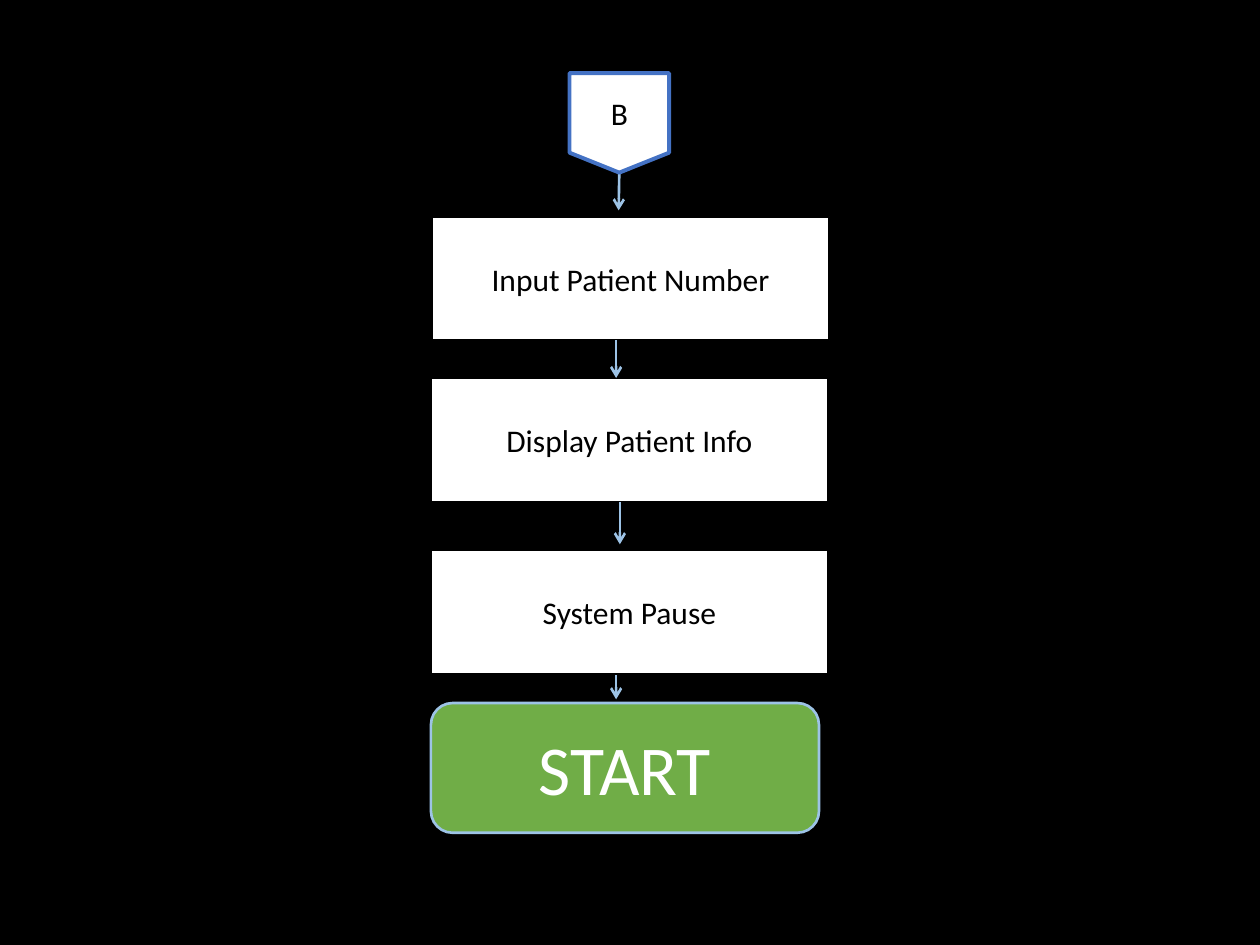
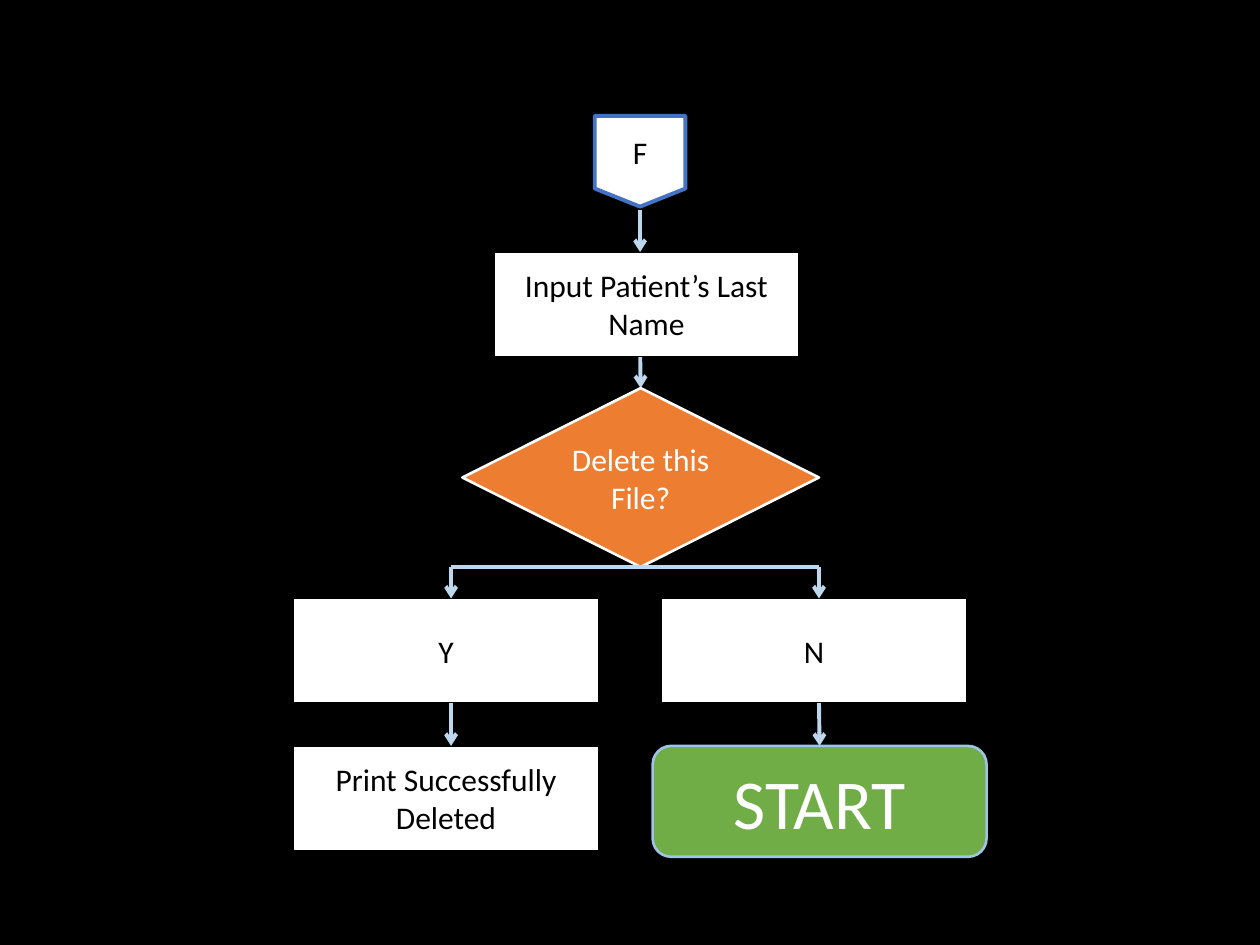
"""Build two flowchart pages for a patient record program."""
from lxml import etree
from pptx import Presentation
from pptx.dml.color import RGBColor
from pptx.enum.shapes import MSO_CONNECTOR, MSO_SHAPE
from pptx.enum.text import MSO_ANCHOR, PP_ALIGN
from pptx.oxml.ns import qn
from pptx.util import Inches, Pt

RECTANGLE = MSO_SHAPE.RECTANGLE
ROUNDED = MSO_SHAPE.ROUNDED_RECTANGLE
DECISION = MSO_SHAPE.FLOWCHART_DECISION
OFFPAGE = MSO_SHAPE.FLOWCHART_OFFPAGE_CONNECTOR
STRAIGHT = MSO_CONNECTOR.STRAIGHT
MIDDLE = MSO_ANCHOR.MIDDLE
CENTER = PP_ALIGN.CENTER

BLACK = RGBColor(0x00, 0x00, 0x00)
WHITE = RGBColor(0xFF, 0xFF, 0xFF)
BLUE = RGBColor(0x44, 0x72, 0xC4)
SKY = RGBColor(0x9D, 0xC3, 0xE6)
PALE_SKY = RGBColor(0xBD, 0xD7, 0xEE)
GREEN = RGBColor(0x70, 0xAD, 0x47)
ORANGE = RGBColor(0xED, 0x7D, 0x31)

FONT = "Calibri"
TOP, BOTTOM = 0, 2
BLANK_LAYOUT = 6


class Flow:
    """Draws flowchart parts relative to an origin on a page."""

    def __init__(self, page, left, top, step_size, line_color, line_width):
        """Keep the origin and the styles shared by the parts of one chart."""
        self.shapes = page.shapes
        self.left, self.top = left, top
        self.step_size = step_size
        self.line_color, self.line_width = line_color, line_width

    def node(self, kind, text, place, size, fill, line, width, color=BLACK, points=18):
        """Add one labelled shape."""
        x, y = place
        shape = self.shapes.add_shape(kind, Inches(self.left + x), Inches(self.top + y),
                                      *map(Inches, size))
        shape.shadow.inherit = False
        shape.fill.solid()
        shape.fill.fore_color.rgb = fill
        shape.line.color.rgb = line
        shape.line.width = Pt(width)
        frame = shape.text_frame
        frame.word_wrap = True
        frame.vertical_anchor = MIDDLE
        para = frame.paragraphs[0]
        para.text = text
        para.alignment = CENTER
        para.font.name = FONT
        para.font.size = Pt(points)
        para.font.color.rgb = color
        return shape

    def step(self, text, x, y):
        """Add a white process box."""
        return self.node(RECTANGLE, text, (x, y), self.step_size, WHITE, BLACK, 1)

    def entry(self, letter, x, side):
        """Add the off-page marker that opens the chart."""
        return self.node(OFFPAGE, letter, (x, 0), (side, side), WHITE, BLUE, 2.25)

    def start(self, x, y, size):
        """Add the green box that returns to the start."""
        return self.node(ROUNDED, "START", (x, y), size, GREEN, SKY, 1.5, WHITE, 40)

    def line(self, x1, y1, x2, y2):
        """Add a plain straight line."""
        connector = self.shapes.add_connector(
            STRAIGHT, Inches(self.left + x1), Inches(self.top + y1),
            Inches(self.left + x2), Inches(self.top + y2))
        connector.line.color.rgb = self.line_color
        connector.line.width = Pt(self.line_width)
        etree.SubElement(connector._element.spPr, qn("a:effectLst"))
        return connector

    def arrow(self, x, y1, y2):
        """Add a downward arrow."""
        connector = self.line(x, y1, x, y2)
        etree.SubElement(connector.line._get_or_add_ln(), qn("a:tailEnd"), type="arrow")
        return connector


def draw_patient_display(page, left, top):
    """Draw the chart that looks up and shows a patient."""
    flow = Flow(page, left, top, (3.15, 0.98), SKY, 1.5)
    flow.arrow(1.47, 4.68, 4.97)
    flow.arrow(1.5, 2.96, 3.74)
    flow.step("System Pause", 0, 3.79)
    flow.step("Display Patient Info", 0, 2.42)
    flow.step("Input Patient Number", 0.01, 1.14)
    flow.arrow(1.47, 2.12, 2.42)
    entry_arrow = flow.arrow(1.49, 0.79, 1.09)
    entry = flow.entry("B", 1.1, 0.79)
    entry_arrow.begin_connect(entry, BOTTOM)
    flow.start(0, 5, (3.08, 1.03))


def draw_file_deletion(page, left, top):
    """Draw the chart that confirms and deletes a patient file."""
    middle, yes, no = 2.75, 1.25, 4.17
    answer_top, result_top, branch_top = 3.83, 5, 3.58
    flow = Flow(page, left, top, (2.42, 0.83), PALE_SKY, 2.25)
    question_arrow = flow.arrow(middle, 1.83, 2.16)
    flow.step("Input Patient’s Last Name", 1.59, 1.08)
    flow.step("Y", 0, answer_top)
    flow.step("Print Successfully Deleted", 0, result_top)
    flow.step("N", 2.92, answer_top)
    question = flow.node(DECISION, "Delete this File?", (1.34, 2.16), (2.83, 1.42),
                         ORANGE, WHITE, 1.5, WHITE)
    question_arrow.end_connect(question, TOP)
    for x in (no, yes):
        flow.arrow(x, branch_top, answer_top)
        result_arrow = flow.arrow(x, 4.66, result_top)
        if x == no:
            restart_arrow = result_arrow
    flow.arrow(middle, 0.75, 1.08)
    flow.line(yes, branch_top, no, branch_top)
    flow.entry("F", 2.39, 0.72)
    restart = flow.start(2.85, result_top, (2.65, 0.88))
    restart_arrow.end_connect(restart, TOP)


def main():
    """Build and save the deck."""
    deck = Presentation()
    deck.slide_width, deck.slide_height = Inches(10), Inches(7.5)
    backdrop = deck.slide_master.background.fill
    backdrop.solid()
    backdrop.fore_color.rgb = BLACK
    for draw, left, top in ((draw_patient_display, 3.42, 0.58),
                            (draw_file_deletion, 2.33, 0.92)):
        draw(deck.slides.add_slide(deck.slide_layouts[BLANK_LAYOUT]), left, top)
    deck.save("out.pptx")


if __name__ == "__main__":
    main()
